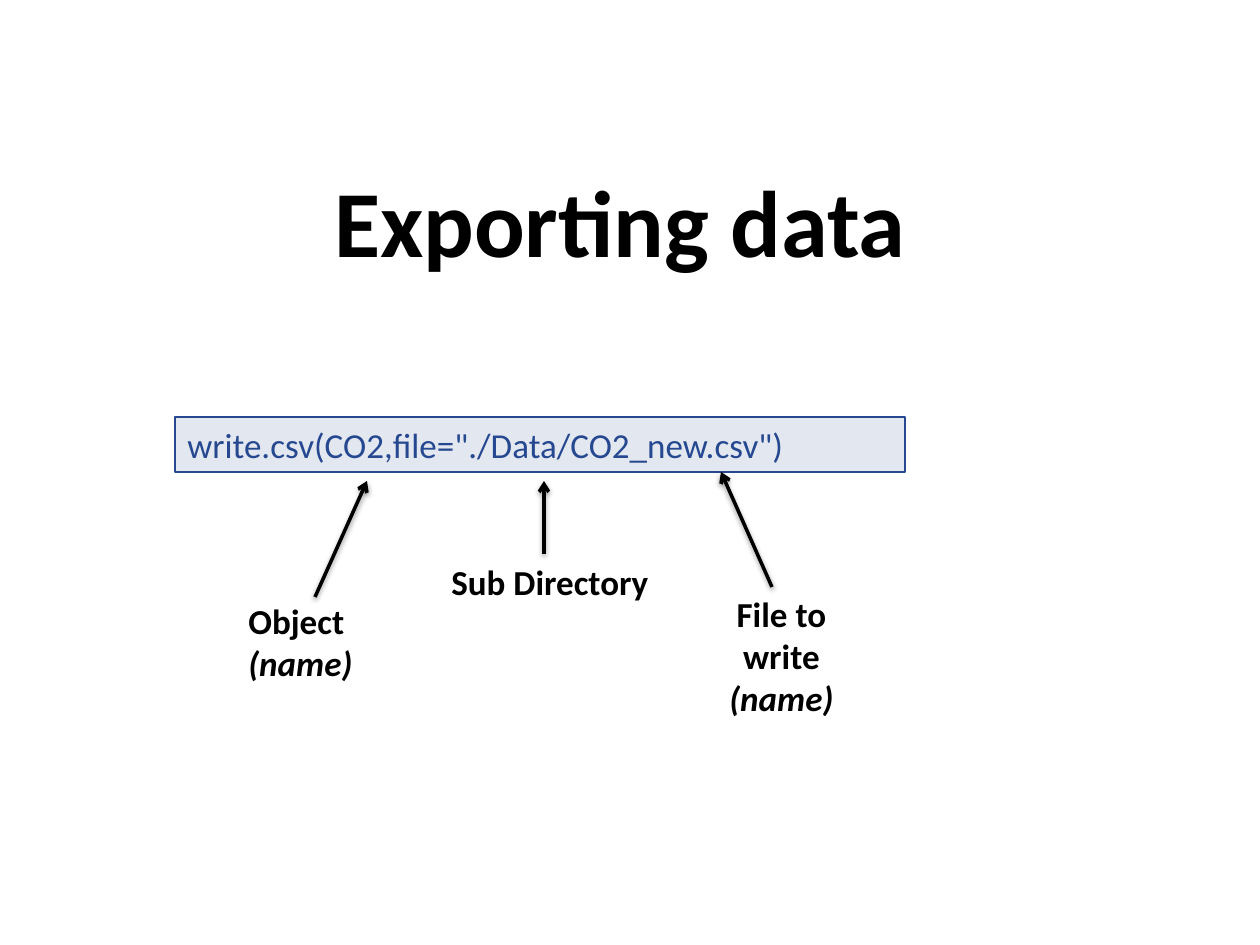
from lxml import etree
from pptx import Presentation
from pptx import util as u
from pptx.dml.color import RGBColor
from pptx.enum import shapes, text
from pptx.oxml.ns import qn

PX = 914400 / 126
CENTER, LEFT = text.PP_ALIGN.CENTER, text.PP_ALIGN.LEFT


def px(*lengths):
    return [u.Emu(round(n * PX)) for n in lengths]


def color(hex_value):
    return RGBColor.from_string(hex_value)


def add_xml(parent, tag, **attrs):
    return etree.SubElement(parent, qn(tag), {k: str(v) for k, v in attrs.items()})


class SlideBuilder:
    """Holds the text style and the slide being filled."""
    font = "Calibri"
    ink = "000000"
    accent = "264890"

    def __init__(self, prs):
        self.s = prs.slides.add_slide(prs.slide_layouts[5])

    def set_text(self, tf, lines, align, ink, **formats):
        """Fill a frame from (text, extra formats) pairs, one paragraph each."""
        tf.word_wrap = True
        for i, (line, extra) in enumerate(lines):
            p = tf.paragraphs[0] if i == 0 else tf.add_paragraph()
            p.alignment = align
            r = p.add_run()
            r.text = line
            for name, value in {"name": self.font, **formats, **extra}.items():
                setattr(r.font, name, value)
            r.font.color.rgb = color(ink)

    def title(self, words, *box):
        sp = self.s.shapes.title
        sp.left, sp.top, sp.width, sp.height = px(*box)
        sp.text_frame.vertical_anchor = text.MSO_ANCHOR.MIDDLE
        self.set_text(sp.text_frame, [(words, {})], CENTER, self.ink,
                      size=u.Pt(54), bold=True)

    def code(self, words, *box):
        sp = self.s.shapes.add_shape(shapes.MSO_SHAPE.RECTANGLE, *px(*box))
        sp.shadow.inherit = False
        sp.fill.solid()
        sp.fill.fore_color.rgb = color(self.accent)
        fill = sp._element.spPr.find(qn("a:solidFill"))
        add_xml(fill.find(qn("a:srgbClr")), "a:alpha", val=13000)
        sp.line.color.rgb = color(self.accent)
        sp.line.width = u.Pt(0.75)
        sp.text_frame.vertical_anchor = text.MSO_ANCHOR.TOP
        self.set_text(sp.text_frame, [(words, {})], LEFT, self.accent, size=u.Pt(20))

    def label(self, lines, align, *box):
        sp = self.s.shapes.add_textbox(*px(*box))
        self.set_text(sp.text_frame, lines, align, self.ink, size=u.Pt(20), bold=True)

    def arrow(self, *ends):
        """Draw an arrow with a soft shadow straight below it."""
        cx = self.s.shapes.add_connector(shapes.MSO_CONNECTOR.STRAIGHT, *px(*ends))
        cx.line.color.rgb = color(self.ink)
        cx.line.width = u.Pt(2)
        sp_pr = cx._element.spPr
        add_xml(sp_pr.find(qn("a:ln")), "a:tailEnd", type="arrow")
        effects = add_xml(sp_pr, "a:effectLst")
        shadow = add_xml(effects, "a:outerShdw", blurRad=int(u.Pt(3.1)),
                         dist=int(u.Pt(1.6)), dir=90 * 60000, rotWithShape=0)
        add_xml(add_xml(shadow, "a:srgbClr", val=self.ink), "a:alpha", val=38000)


def main():
    prs = Presentation()
    prs.slide_width, prs.slide_height = u.Inches(10), u.Inches(7.5)
    b = SlideBuilder(prs)
    b.title("Exporting data", 136, 141, 968, 158)
    b.code('write.csv(CO2,file="./Data/CO2_new.csv")', 175, 417, 730, 55)
    name = ("(name)", {"italic": True})
    parts = [
        ([("Object", {}), name], LEFT, (236, 593, 179, 97), (315, 597, 367, 481)),
        ([("File to write", {}), name], CENTER, (692, 586, 179, 140), (772, 587, 721, 472)),
        ([("Sub Directory", {})], CENTER, (438, 554, 224, 97), (544, 554, 544, 481)),
    ]
    for lines, align, box, ends in parts:
        b.label(lines, align, *box)
        b.arrow(*ends)
    prs.save("out.pptx")


if __name__ == "__main__":
    main()
